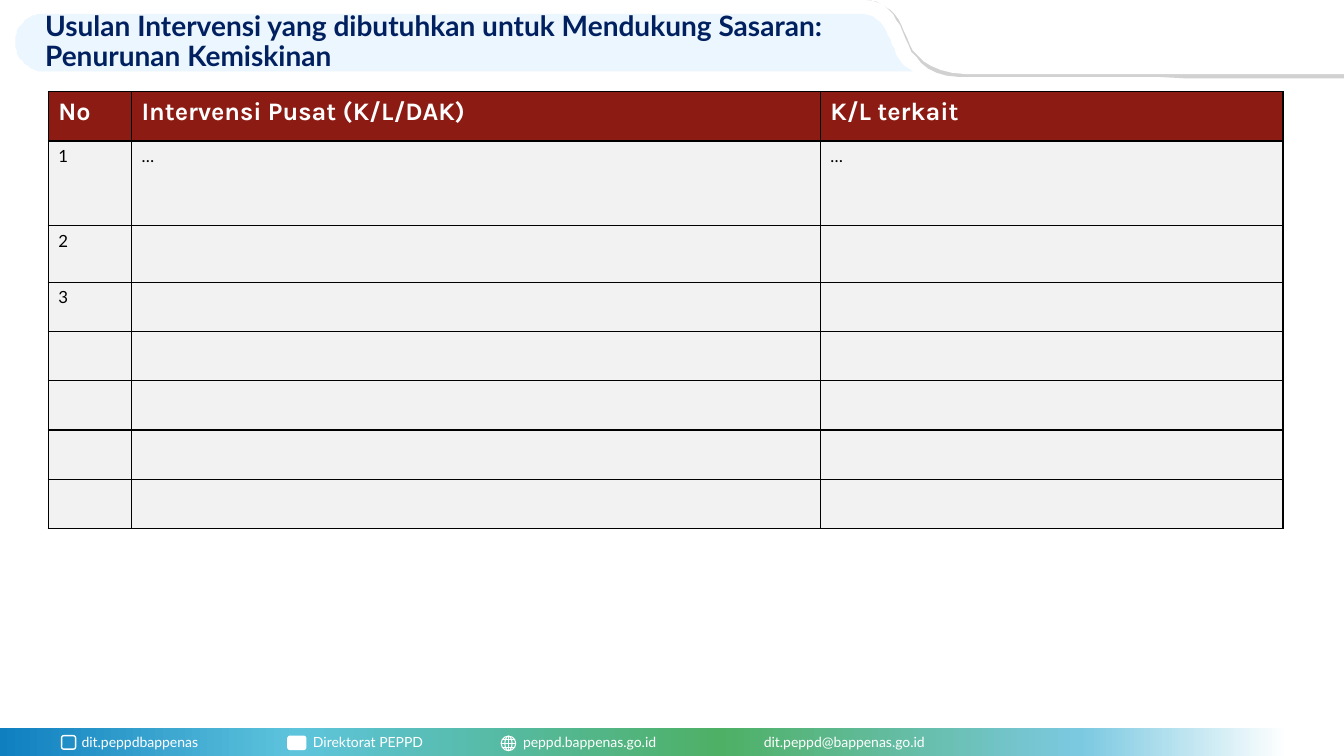
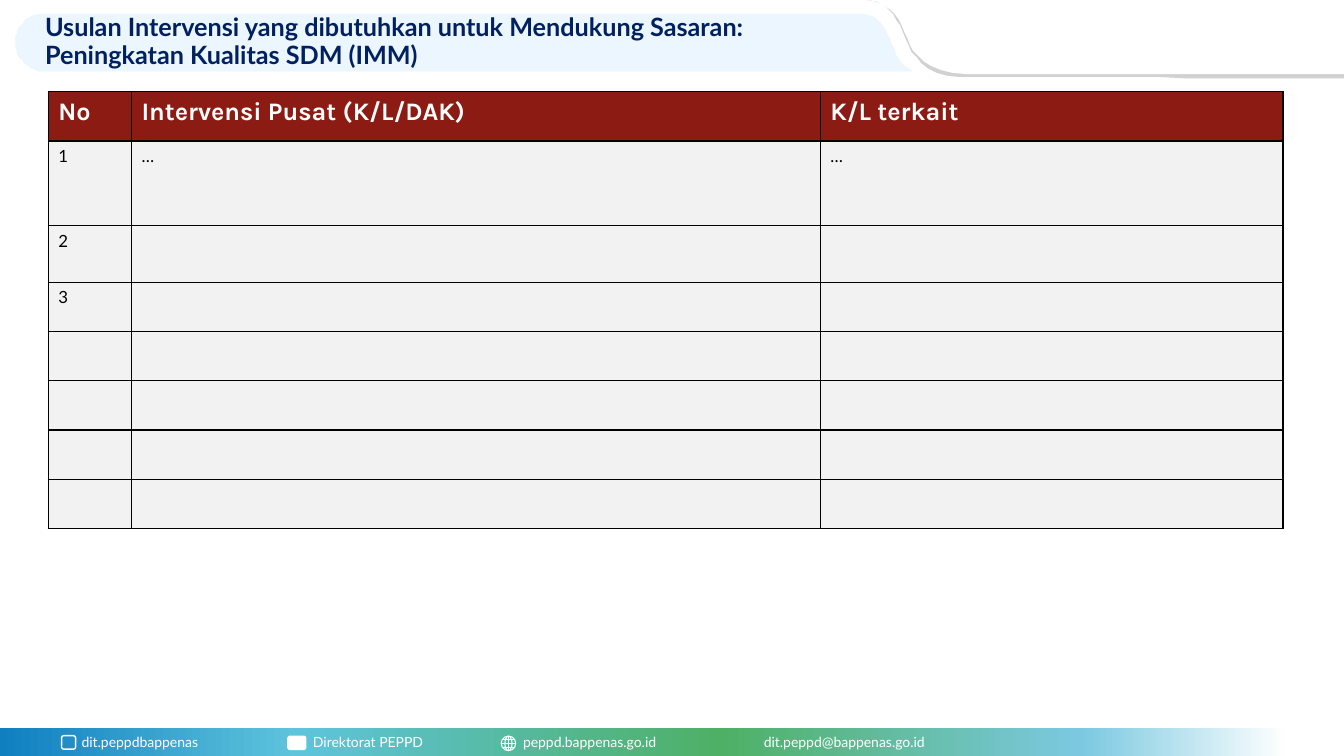
import math

from lxml import etree
from pptx import Presentation
from pptx.dml.color import RGBColor
from pptx.enum import shapes, text
from pptx.oxml.ns import qn
from pptx.util import Pt

COLORS = {
    "white": "FFFFFF",
    "black": "000000",
    "navy": "002060",
    "ribbon": "ECF6FE",
    "edge": "D1D1D1",
    "header": "8C1C13",
    "cell": "F2F2F2",
}
FOOTER_STOPS = [(0, "0F7FC0"), (23, "5EC4DC"), (56, "4EB065"), (84, "7BC9E1"), (100, "FFFFFF")]
SLIDES = [
    ("Usulan Intervensi yang dibutuhkan untuk Mendukung Sasaran: Penurunan Kemiskinan", 20),
    ("Usulan Intervensi yang dibutuhkan untuk Mendukung Sasaran: Peningkatan Kualitas SDM (IMM)", 18),
]
COLUMN_WIDTHS = [59.4, 492, 330.6]
ROW_HEIGHTS = [35.2, 60.3, 40.6] + [35.2] * 5
TABLE_ROWS = [
    ("No", "Intervensi Pusat (K/L/DAK)", "K/L terkait"),
    ("1", "…", "…"),
    ("2", "", ""),
    ("3", "", ""),
] + [("", "", "")] * 4


def style_text(paragraph, name, size, color, bold=False):
    for run in paragraph.runs:
        run.font.name = name
        run.font.size = Pt(size)
        run.font.bold = bold
        run.font.color.rgb = RGBColor.from_string(COLORS[color])


def add_outline(canvas, start, segments, color):
    points = [start]
    for segment in segments:
        if len(segment) == 2:
            points.append(segment)
            continue
        x0, y0 = points[-1]
        x1, y1, x2, y2, x3, y3 = segment
        for step in range(1, 17):
            t = step / 16
            a, b, c, d = (1 - t) ** 3, 3 * t * (1 - t) ** 2, 3 * t * t * (1 - t), t ** 3
            points.append((a * x0 + b * x1 + c * x2 + d * x3, a * y0 + b * y1 + c * y2 + d * y3))
    builder = canvas.build_freeform(*start, scale=Pt(1))
    builder.add_line_segments(points[1:])
    outline = builder.convert_to_shape()
    outline.shadow.inherit = False
    outline.fill.solid()
    outline.fill.fore_color.rgb = RGBColor.from_string(COLORS[color])
    outline.line.fill.background()


presentation = Presentation()
presentation.slide_width = Pt(960)
presentation.slide_height = Pt(540)

layout = presentation.slide_layouts[5]
for placeholder in list(layout.placeholders):
    if placeholder.placeholder_format.idx != 0:
        placeholder.element.getparent().remove(placeholder.element)
layout_title = layout.placeholders[0]
layout_title.left, layout_title.top = Pt(25), Pt(13)
layout_title.width, layout_title.height = Pt(580), Pt(34.6)

slides = [presentation.slides.add_slide(layout) for _ in SLIDES]
canvas = slides[0].shapes

add_outline(canvas, (31.7, 9.6), [
    (593, 9.6),
    (604, 9.9, 610, 10, 617, 10),
    (638, 10.8, 634, 44.6, 652, 51),
    (31.7, 51),
    (20, 51, 10.8, 41.8, 10.8, 30.2),
    (10.8, 18.7, 20, 9.6, 31.7, 9.6),
], "ribbon")
add_outline(canvas, (960, 0), [
    (960, 56),
    (950, 56),
    (877, 55.4, 734, 55.4, 685, 54.7),
    (634, 51.8, 656, 3.6, 619, 0),
], "edge")
add_outline(canvas, (619, 0), [
    (960, 0),
    (960, 52.6),
    (690, 52.6),
    (631, 50.4, 660, 5, 619, 0),
], "white")

footer = canvas.add_shape(shapes.MSO_SHAPE.RECTANGLE, 0, Pt(520.2), Pt(919.5), Pt(19.8))
footer.shadow.inherit = False
footer.line.fill.background()
footer.fill.gradient()
footer.fill.gradient_angle = 0
stop_list = footer._element.spPr.find(qn("a:gradFill")).find(qn("a:gsLst"))
for stop in list(stop_list):
    stop_list.remove(stop)
for position, color in FOOTER_STOPS:
    stop = etree.SubElement(stop_list, qn("a:gs"), pos=str(position * 1000))
    etree.SubElement(stop, qn("a:srgbClr"), val=color)

globe_x, globe_y, globe_radius = 363.2, 531, 5.2
icons = [
    (shapes.MSO_SHAPE.ROUNDED_RECTANGLE, 44, 525.5, 10, 9.6, 1, False),
    (shapes.MSO_SHAPE.ROUNDED_RECTANGLE, 205.5, 525.8, 13, 9.6, 0.75, True),
    (shapes.MSO_SHAPE.OVAL, globe_x - globe_radius, globe_y - globe_radius,
     2 * globe_radius, 2 * globe_radius, 0.75, False),
    (shapes.MSO_SHAPE.OVAL, globe_x - globe_radius / 2, globe_y - globe_radius,
     globe_radius, 2 * globe_radius, 0.75, False),
]
for kind, left, top, width, height, line_width, filled in icons:
    icon = canvas.add_shape(kind, Pt(left), Pt(top), Pt(width), Pt(height))
    icon.shadow.inherit = False
    icon.line.color.rgb = RGBColor.from_string(COLORS["white"])
    icon.line.width = Pt(line_width)
    if filled:
        icon.fill.solid()
        icon.fill.fore_color.rgb = RGBColor.from_string(COLORS["white"])
    else:
        icon.fill.background()

globe_lines = [(globe_x, globe_y - globe_radius, globe_x, globe_y + globe_radius)]
for offset in (-2.6, 0, 2.6):
    half = math.sqrt(globe_radius ** 2 - offset ** 2)
    globe_lines.append((globe_x - half, globe_y + offset, globe_x + half, globe_y + offset))
for ends in globe_lines:
    connector = canvas.add_connector(shapes.MSO_CONNECTOR.STRAIGHT, *[Pt(end) for end in ends])
    connector.line.color.rgb = RGBColor.from_string(COLORS["white"])
    connector.line.width = Pt(0.75)
    etree.SubElement(connector._element.spPr, qn("a:effectLst"))

contacts = [
    (51.2, 130, "dit.peppdbappenas"),
    (216.5, 117, "Direktorat PEPPD"),
    (366.5, 148, "peppd.bappenas.go.id"),
    (538.5, 176, "dit.peppd@bappenas.go.id"),
]
for left, width, contact in contacts:
    box = canvas.add_textbox(Pt(left), Pt(520.5), Pt(width), Pt(19.4))
    box.text_frame.word_wrap = True
    box.text_frame.text = contact
    style_text(box.text_frame.paragraphs[0], "Lato", 10, "white")

for shape in list(canvas):
    if not shape.is_placeholder:
        layout.shapes.element.append(shape.element)

for slide, (heading, heading_size) in zip(slides, SLIDES):
    title_frame = slide.shapes.title.text_frame
    title_frame.text = heading
    title_frame.word_wrap = True
    title_frame.auto_size = text.MSO_AUTO_SIZE.NONE
    title_frame.vertical_anchor = text.MSO_ANCHOR.MIDDLE
    paragraph = title_frame.paragraphs[0]
    paragraph.alignment = text.PP_ALIGN.LEFT
    paragraph.line_spacing = 0.9
    style_text(paragraph, "Lato", heading_size, "navy", True)

    frame = slide.shapes.add_table(
        len(TABLE_ROWS), len(COLUMN_WIDTHS),
        Pt(34.5), Pt(65.6), Pt(sum(COLUMN_WIDTHS)), Pt(sum(ROW_HEIGHTS)),
    )
    table = frame.table
    table.horz_banding = False
    for column, width in zip(table.columns, COLUMN_WIDTHS):
        column.width = Pt(width)
    for row, height in zip(table.rows, ROW_HEIGHTS):
        row.height = Pt(height)
    for row_index, values in enumerate(TABLE_ROWS):
        is_header = row_index == 0
        for column_index, value in enumerate(values):
            cell = table.cell(row_index, column_index)
            properties = cell._tc.get_or_add_tcPr()
            for side in ("lnL", "lnR", "lnT", "lnB"):
                border = etree.SubElement(properties, qn("a:" + side), w=str(Pt(1)))
                border_fill = etree.SubElement(border, qn("a:solidFill"))
                etree.SubElement(border_fill, qn("a:srgbClr"), val=COLORS["black"])
            cell.fill.solid()
            cell.fill.fore_color.rgb = RGBColor.from_string(COLORS["header" if is_header else "cell"])
            if value:
                cell.text_frame.text = value
                paragraph = cell.text_frame.paragraphs[0]
                if is_header:
                    style_text(paragraph, "Karla", 18, "white", True)
                else:
                    style_text(paragraph, "Lato", 12, "black")

presentation.save("out.pptx")
